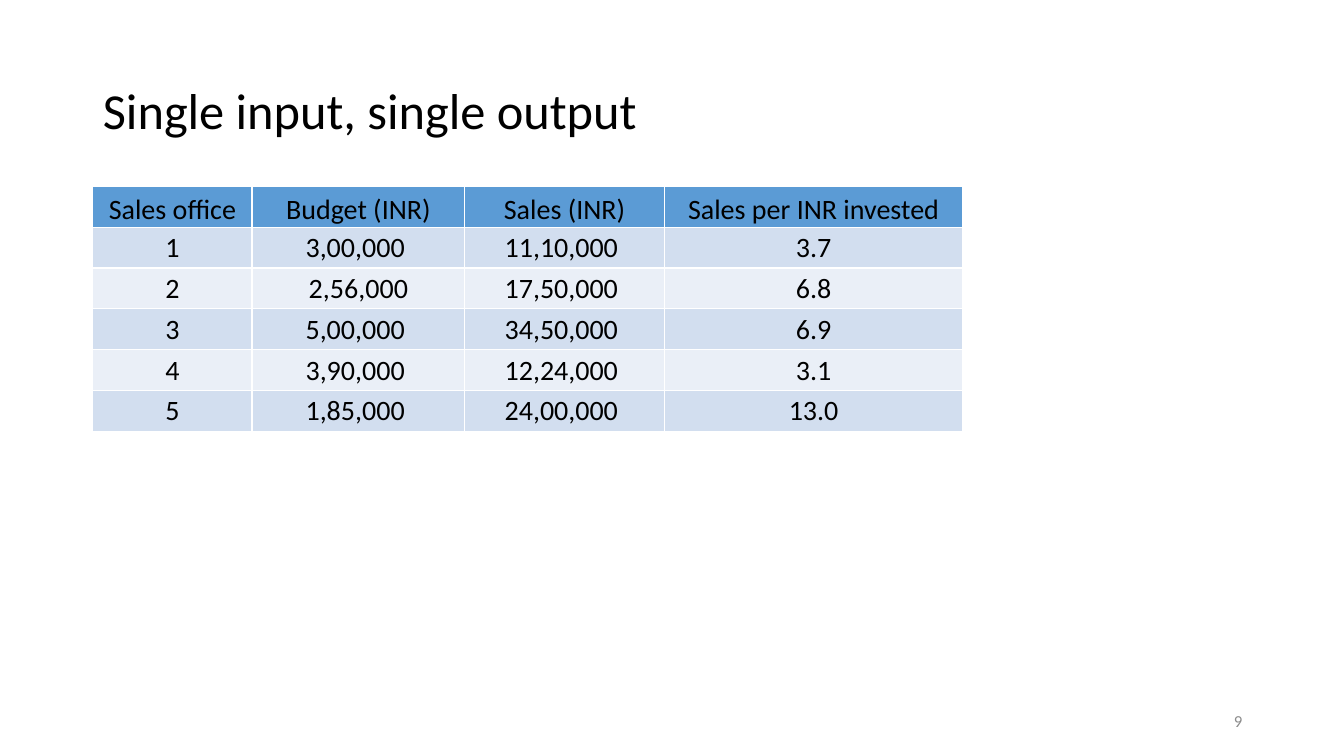
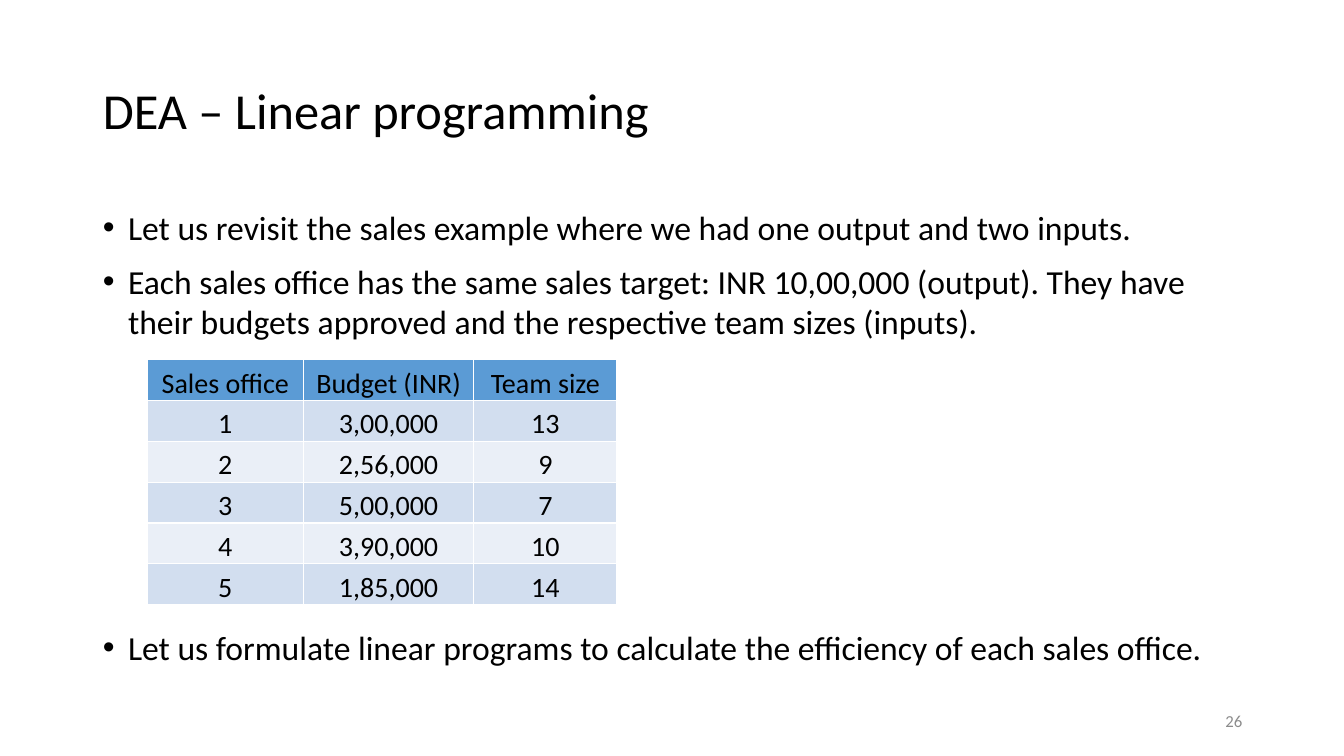
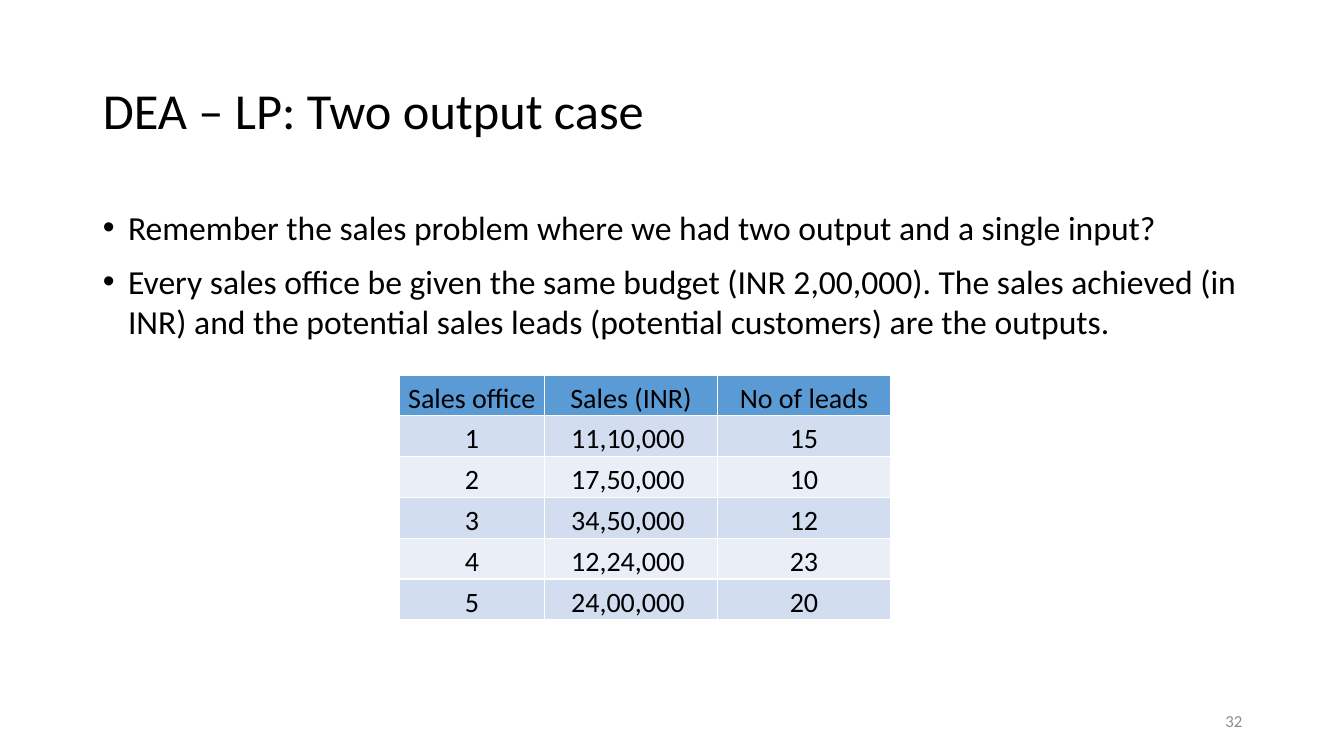
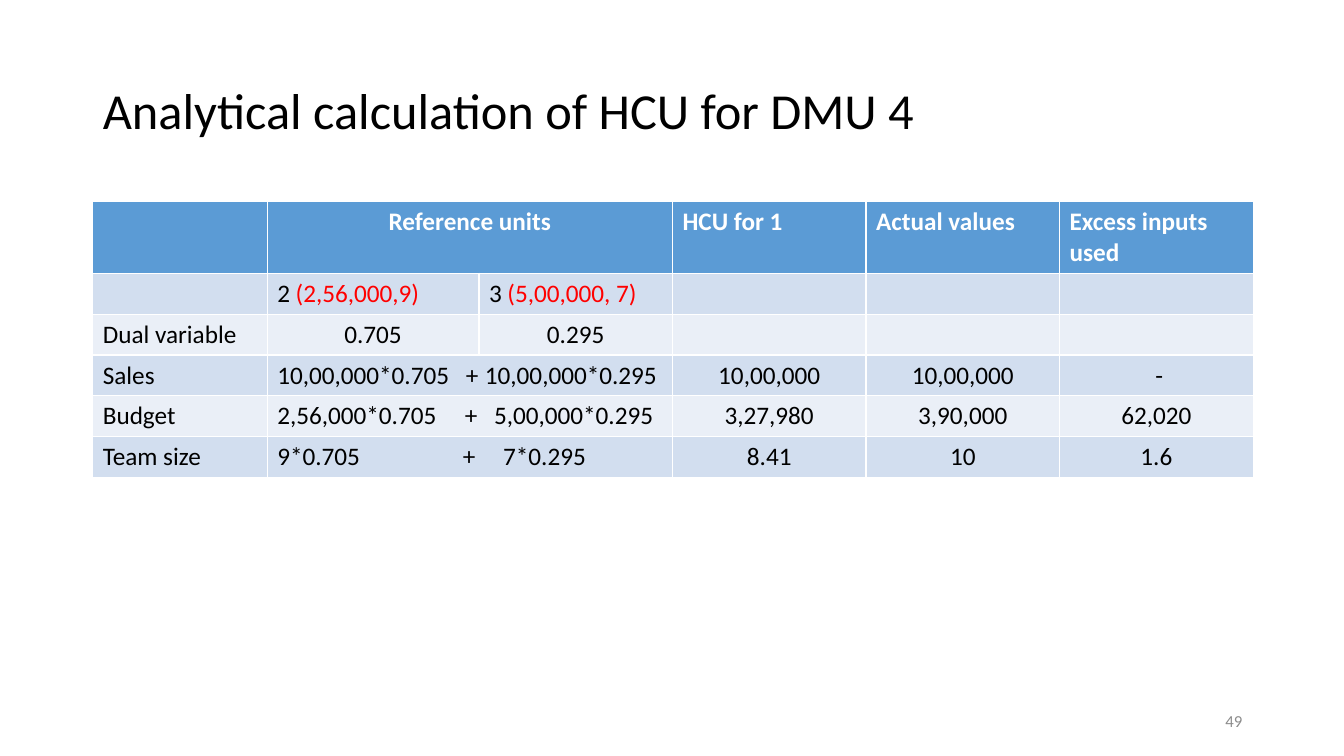
from dataclasses import dataclass

from lxml.etree import SubElement
from pptx import Presentation
from pptx.dml.color import RGBColor
from pptx.enum.text import MSO_ANCHOR as Anchor, MSO_AUTO_SIZE as AutoSize, PP_ALIGN as Align
from pptx.oxml.ns import qn
from pptx.util import Pt


@dataclass(frozen=True)
class Theme:
    font: str = "Calibri"
    black: str = "000000"
    white: str = "FFFFFF"
    red: str = "FF0000"
    gray: str = "8C8C8C"
    header: str = "5B9BD5"
    bands: tuple = ("EAEFF7", "D2DEEF")
    title_size: int = 36
    body_size: int = 24
    table_size: int = 20
    wide_table_size: int = 18
    number_size: int = 12


THEME = Theme()
PX = 9144
LEFT, WIDTH = 92, 1150
TABLE_HEIGHT = 243
TITLE_ONLY, TITLE_AND_BODY = 5, 1
ALIGNMENTS = {"l": Align.LEFT, "c": Align.CENTER}


def place(shape, left, top, width, height):
    shape.left, shape.top = left * PX, top * PX
    shape.width, shape.height = width * PX, height * PX


def style_runs(paragraph, size, color, bold=False):
    for run in paragraph.runs:
        run.font.name = THEME.font
        run.font.size = Pt(size)
        run.font.bold = bold
        run.font.color.rgb = RGBColor.from_string(color)


SLIDES = [
    {
        "title": "Single input, single output",
        "number": 9,
        "bullets": [],
        "table": {
            "at": (92, 185),
            "columns": [158, 211, 198, 296],
            "anchor": Anchor.MIDDLE,
            "rows": [
                ["Sales office", "Budget (INR)", "Sales (INR)", "Sales per INR invested"],
                ["1", "3,00,000 ", "11,10,000 ", "3.7"],
                ["2", " 2,56,000 ", "17,50,000 ", "6.8"],
                ["3", "5,00,000 ", "34,50,000 ", "6.9"],
                ["4", "3,90,000 ", "12,24,000 ", "3.1"],
                ["5", "1,85,000 ", "24,00,000 ", "13.0"],
            ],
        },
    },
    {
        "title": "DEA – Linear programming",
        "number": 26,
        "bullets": [
            ("Let us revisit the sales example where we had one output and two inputs.", 0),
            ("Each sales office has the same sales target: INR 10,00,000 (output). They have "
             "their budgets approved and the respective team sizes (inputs).", 10),
            ("Let us formulate linear programs to calculate the efficiency of each sales office.", 204),
        ],
        "table": {
            "at": (146, 357),
            "columns": [155, 169, 142],
            "anchor": Anchor.BOTTOM,
            "rows": [
                ["Sales office", "Budget (INR)", "Team size"],
                ["1", "3,00,000", "13"],
                ["2", "2,56,000", "9"],
                ["3", "5,00,000", "7"],
                ["4", "3,90,000", "10"],
                ["5", "1,85,000", "14"],
            ],
        },
    },
    {
        "title": "DEA – LP: Two output case",
        "number": 32,
        "bullets": [
            ("Remember the sales problem where we had two output and a single input?", 0),
            ("Every sales office be given the same budget (INR 2,00,000). The sales achieved (in "
             "INR) and the potential sales leads (potential customers) are the outputs.", 10),
        ],
        "table": {
            "at": (396, 372),
            "columns": [144, 172, 171],
            "anchor": Anchor.BOTTOM,
            "rows": [
                ["Sales office", "Sales (INR)", "No of leads"],
                ["1", "11,10,000 ", "15"],
                ["2", "17,50,000 ", "10"],
                ["3", "34,50,000 ", "12"],
                ["4", "12,24,000 ", "23"],
                ["5", "24,00,000 ", "20"],
            ],
        },
    },
    {
        "title": "Analytical calculation of HCU for DMU 4",
        "number": 49,
        "bullets": [],
        "table": {
            "at": (92, 200),
            "columns": [173, 210, 192, 192, 192, 192],
            "wide": True,
            "anchor": Anchor.TOP,
            "alignment": ["lcclll", "llllll", "lccccc", "llcccc", "llcccc", "llcccc"],
            "tabs": {3: (187, 206), 4: (186, 215), 5: (184, 224)},
            "rows": [
                ["", "Reference units", None, "HCU for 1", "Actual values", "Excess inputs used"],
                ["", "2 |(2,56,000,9)", "3 |(5,00,000, 7)", "", "", ""],
                ["Dual variable", "0.705", "0.295", "", "", ""],
                ["Sales", "10,00,000*0.705\t+\t10,00,000*0.295", None, "10,00,000", "10,00,000", " -"],
                ["Budget", "2,56,000*0.705\t+\t5,00,000*0.295", None, "3,27,980", "3,90,000", "62,020"],
                ["Team size", "9*0.705\t+\t7*0.295", None, "8.41", "10", "1.6"],
            ],
        },
    },
]

presentation = Presentation()
presentation.slide_width, presentation.slide_height = 1333 * PX, 750 * PX

for content in SLIDES:
    bullets = content["bullets"]
    layout = presentation.slide_layouts[TITLE_AND_BODY if bullets else TITLE_ONLY]
    slide = presentation.slides.add_slide(layout)

    title = slide.shapes.title
    place(title, LEFT, 40, WIDTH, 145)
    title.text_frame.text = content["title"]
    title.text_frame.auto_size = AutoSize.NONE
    title.text_frame.vertical_anchor = Anchor.MIDDLE
    paragraph = title.text_frame.paragraphs[0]
    paragraph.alignment = Align.LEFT
    paragraph.line_spacing = 0.9
    style_runs(paragraph, THEME.title_size, THEME.black)

    if bullets:
        body = slide.placeholders[1]
        place(body, LEFT, 200, WIDTH, 476)
        body.text_frame.text = "\n".join(text for text, gap in bullets)
        body.text_frame.auto_size = AutoSize.NONE
        for paragraph, (text, gap) in zip(body.text_frame.paragraphs, bullets):
            properties = paragraph._p.get_or_add_pPr()
            properties.set("marL", str(25 * PX))
            properties.set("indent", str(-25 * PX))
            paragraph.space_before = Pt(gap)
            style_runs(paragraph, THEME.body_size, THEME.black)

    spec_table = content["table"]
    rows, columns = spec_table["rows"], spec_table["columns"]
    wide = spec_table.get("wide", False)
    left, top = spec_table["at"]
    table = slide.shapes.add_table(
        len(rows), len(columns), left * PX, top * PX, sum(columns) * PX, TABLE_HEIGHT * PX
    ).table
    for column, width in zip(table.columns, columns):
        column.width = width * PX

    for row_index, row in enumerate(rows):
        is_header = row_index == 0
        fill = THEME.header if is_header else THEME.bands[row_index % 2]
        bright = is_header and wide
        for column_index, text in enumerate(row):
            cell = table.cell(row_index, column_index)
            cell.fill.solid()
            cell.fill.fore_color.rgb = RGBColor.from_string(fill)
            if text is None:
                table.cell(row_index, column_index - 1).merge(cell)
                continue
            cell.vertical_anchor = Anchor.BOTTOM if is_header and not wide else spec_table["anchor"]
            if not wide:
                cell.margin_left = cell.margin_top = cell.margin_right = PX
                cell.margin_bottom = 0

            paragraph = cell.text_frame.paragraphs[0]
            alignment = spec_table["alignment"][row_index][column_index] if wide else "c"
            paragraph.alignment = ALIGNMENTS[alignment]
            if "\t" in text:
                tab_list = SubElement(paragraph._p.get_or_add_pPr(), qn("a:tabLst"))
                for position in spec_table["tabs"][row_index]:
                    SubElement(tab_list, qn("a:tab"), pos=str(position * PX), algn="l")
            for part in text.split("|"):
                if part:
                    paragraph.add_run().text = part
            style_runs(
                paragraph,
                THEME.wide_table_size if wide else THEME.table_size,
                THEME.white if bright else THEME.black,
                bright,
            )
            for run in paragraph.runs[1:]:
                run.font.color.rgb = RGBColor.from_string(THEME.red)

    number = slide.shapes.add_textbox(942 * PX, 695 * PX, 300 * PX, 40 * PX)
    number.text_frame.word_wrap = True
    number.text_frame.vertical_anchor = Anchor.MIDDLE
    number.text_frame.text = str(content["number"])
    paragraph = number.text_frame.paragraphs[0]
    paragraph.alignment = Align.RIGHT
    style_runs(paragraph, THEME.number_size, THEME.gray)

presentation.save("out.pptx")
